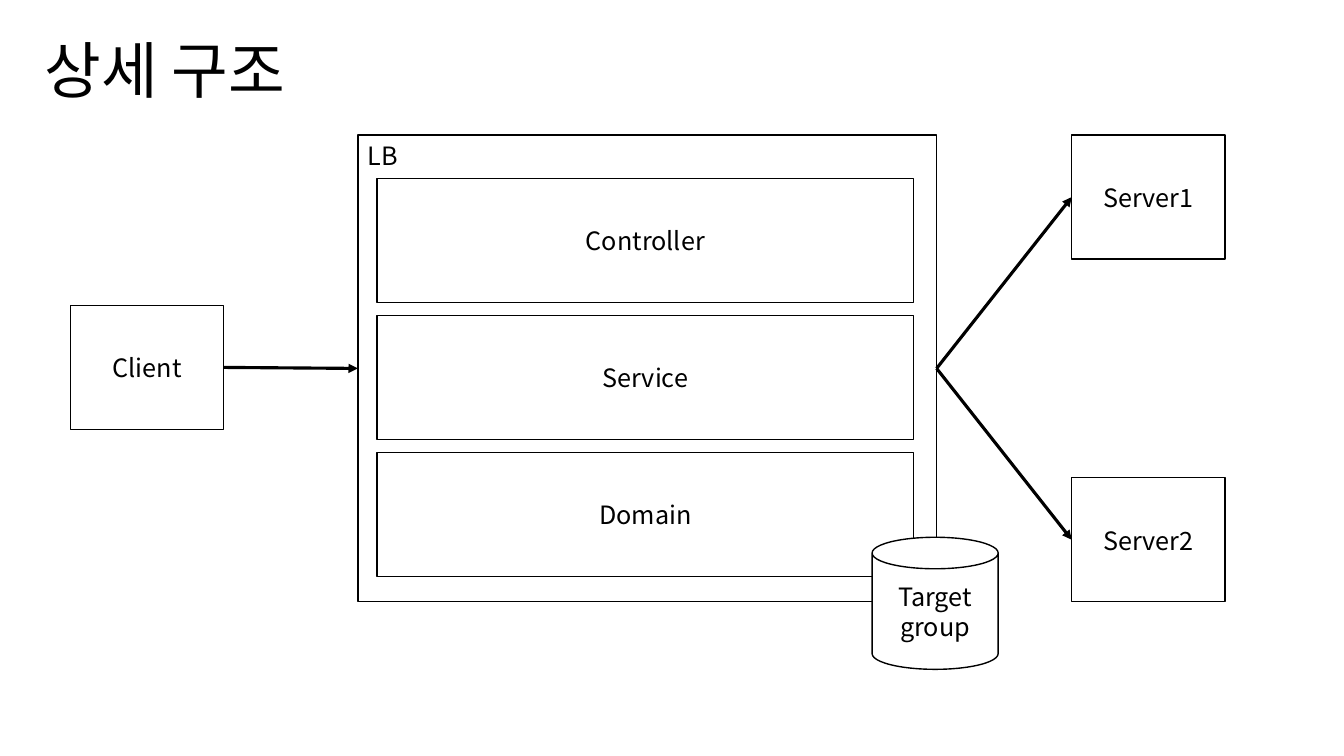
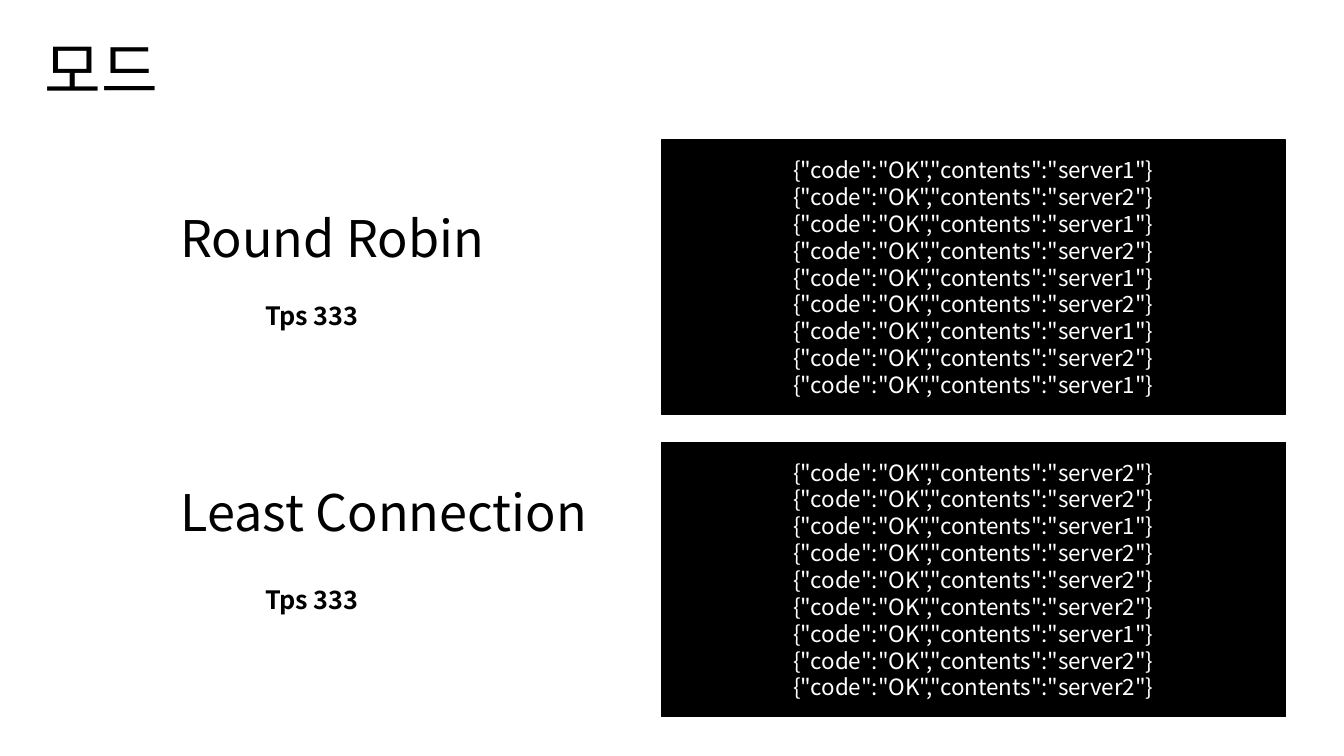
from lxml import etree
from pptx import Presentation
from pptx.dml.color import RGBColor
from pptx.enum.shapes import MSO_CONNECTOR, MSO_SHAPE
from pptx.enum.text import MSO_ANCHOR, PP_ALIGN
from pptx.oxml.ns import qn
from pptx.util import Inches, Pt

COLORS = {"ink": "000000", "paper": "FFFFFF"}
FONT = "Noto Sans CJK KR"
WIDTH, HEIGHT = Inches(13.33), Inches(7.5)
TITLE_ONLY = 5
LEFT_SITE, RIGHT_SITE = 1, 3

# Areas are (left, top, width, height) in percent of the slide's size.
TITLE_AREA = (0, 0, 86.27, 19.33)
TITLE_INDENT = Inches(0.44)
NODE_SIZE = (11.4, 16.4)
BALANCER = (26.63, 17.87, 43.06, 61.73)
SERVER_LEFT = 79.74
LAYER_LEFT, LAYER_TOP, LAYER_WIDTH, LAYER_STEP = 28.06, 23.6, 39.91, 18.13
PANEL_LEFT, PANEL_TOP, PANEL_STEP = 49.21, 18.53, 40
PANEL_SIZE = (46.44, 36.27)

TITLE = {"size": 44, "spacing": 0.9, "anchor": MSO_ANCHOR.MIDDLE}
HEADING = {**TITLE, "size": 36}
LABEL = {"size": 18, "spacing": Pt(22), "align": PP_ALIGN.CENTER,
         "anchor": MSO_ANCHOR.MIDDLE}
CORNER_LABEL = {**LABEL, "align": PP_ALIGN.LEFT, "anchor": MSO_ANCHOR.TOP}
RESULT = {**CORNER_LABEL, "bold": True}
OUTPUT = {**LABEL, "size": 16, "spacing": Pt(19.2), "color": "paper"}

# heading, heading top, result, result top, answering servers
MODES = [
    ("Round Robin", 22.27, "Tps 333", 38.93, "121212121"),
    ("Least Connection", 58.53, "Tps 333", 76.53, "221222122"),
]


def rgb(name):
    return RGBColor.from_string(COLORS[name])


def to_emu(area):
    """Turn percentages of the slide into lengths."""
    return [round(share * full / 100)
            for share, full in zip(area, (WIDTH, HEIGHT) * 2)]


def write(shape, lines, style):
    frame = shape.text_frame
    frame.word_wrap = True
    frame.vertical_anchor = style["anchor"]
    for index, line in enumerate(lines):
        para = frame.add_paragraph() if index else frame.paragraphs[0]
        para.alignment = style.get("align", PP_ALIGN.LEFT)
        para.line_spacing = style["spacing"]
        span = para.add_run()
        span.text = line
        settings = {"name": FONT, "size": Pt(style["size"]),
                    "bold": style.get("bold", False)}
        for key, value in settings.items():
            setattr(span.font, key, value)
        span.font.color.rgb = rgb(style.get("color", "ink"))
        east_asian = etree.SubElement(span.font._element, qn("a:ea"))
        east_asian.set("typeface", FONT)


def add_page(deck, title):
    page = deck.slides.add_slide(deck.slide_layouts[TITLE_ONLY])
    box = page.shapes.title
    box.left, box.top, box.width, box.height = to_emu(TITLE_AREA)
    box.text_frame.margin_left = TITLE_INDENT
    write(box, [title], TITLE)
    return page


def add_box(page, area, lines, style=LABEL, fill="paper",
            kind=MSO_SHAPE.RECTANGLE):
    box = page.shapes.add_shape(kind, *to_emu(area))
    box.shadow.inherit = False
    box.fill.solid()
    box.fill.fore_color.rgb = rgb(fill)
    box.line.color.rgb = rgb("ink")
    box.line.width = Pt(1)
    write(box, lines, style)
    return box


def add_text(page, area, text, style):
    write(page.shapes.add_textbox(*to_emu(area)), [text], style)


def add_arrow(page, source, target):
    """Join the right side of source to the left side of target."""
    arrow = page.shapes.add_connector(MSO_CONNECTOR.STRAIGHT, 0, 0, 0, 0)
    arrow.begin_connect(source, RIGHT_SITE)
    arrow.end_connect(target, LEFT_SITE)
    arrow.line.color.rgb = rgb("ink")
    arrow.line.width = Pt(2.25)
    etree.SubElement(arrow.line._get_or_add_ln(), qn("a:tailEnd"), type="triangle")
    etree.SubElement(arrow._element.spPr, qn("a:effectLst"))


def add_structure_page(deck):
    page = add_page(deck, "상세 구조")
    client = add_box(page, (5.25, 40.4, *NODE_SIZE), ["Client"])
    balancer = add_box(page, BALANCER, ["LB"], CORNER_LABEL)
    for row, name in enumerate(["Controller", "Service", "Domain"]):
        top = LAYER_TOP + row * LAYER_STEP
        add_box(page, (LAYER_LEFT, top, LAYER_WIDTH, NODE_SIZE[1]), [name])

    add_arrow(page, client, balancer)
    first_top = BALANCER[1]
    last_top = BALANCER[1] + BALANCER[3] - NODE_SIZE[1]
    for name, top in [("Server1", first_top), ("Server2", last_top)]:
        server = add_box(page, (SERVER_LEFT, top, *NODE_SIZE), [name])
        add_arrow(page, balancer, server)
    add_box(page, (64.89, 71.07, 9.38, 17.47), ["Target", "group"],
            kind=MSO_SHAPE.CAN)


def add_modes_page(deck):
    page = add_page(deck, "모드")
    for row, (name, name_top, result, result_top, servers) in enumerate(MODES):
        add_text(page, (12.68, name_top, 36, 19.33), name, HEADING)
        add_text(page, (18.98, result_top, 17.93, 5.33), result, RESULT)
        replies = [f'{{"code":"OK","contents":"server{number}"}}'
                   for number in servers]
        top = PANEL_TOP + row * PANEL_STEP
        add_box(page, (PANEL_LEFT, top, *PANEL_SIZE), replies, OUTPUT, "ink")


def main():
    deck = Presentation()
    deck.slide_width, deck.slide_height = WIDTH, HEIGHT
    add_structure_page(deck)
    add_modes_page(deck)
    deck.save("out.pptx")


if __name__ == "__main__":
    main()
